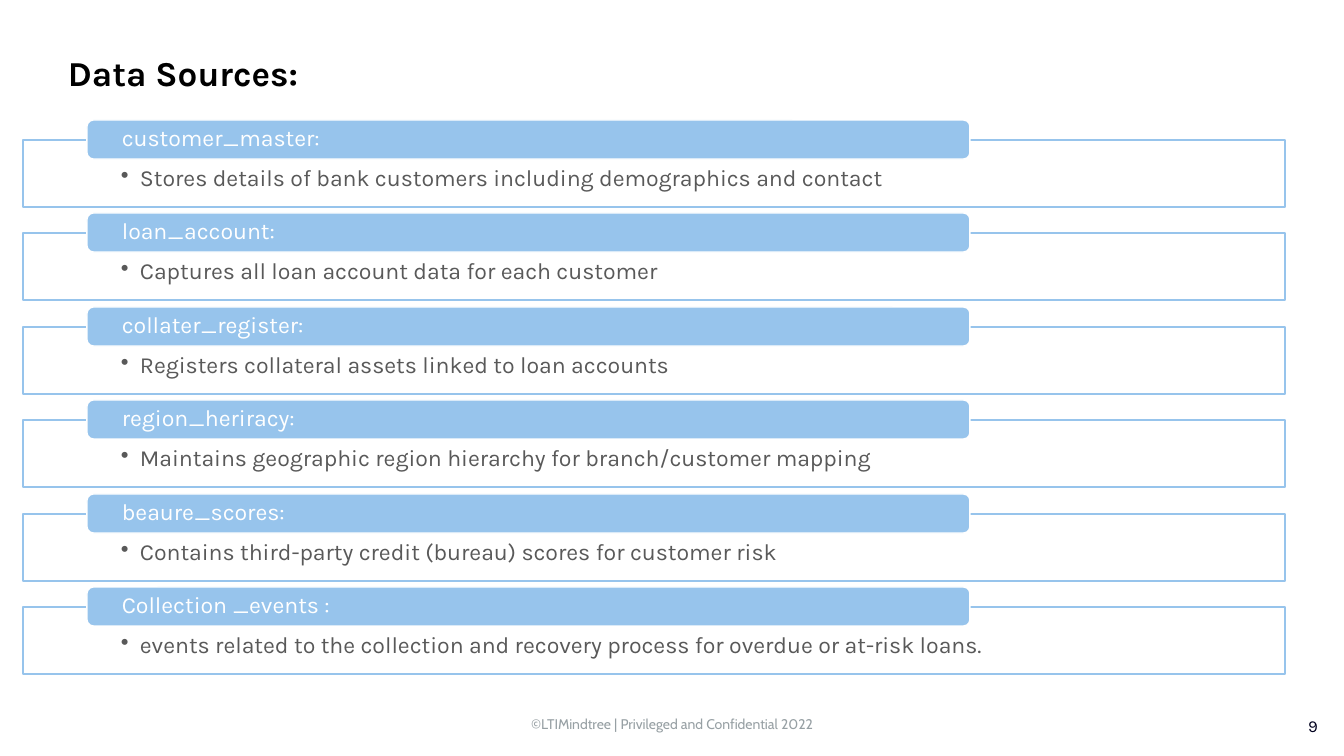
from lxml.etree import SubElement
from pptx import Presentation
from pptx.dml.color import RGBColor
from pptx.enum.shapes import MSO_SHAPE
from pptx.enum.text import MSO_ANCHOR, PP_ALIGN
from pptx.oxml.ns import qn
from pptx.util import Emu, Pt

THEME = {
    "blue": RGBColor.from_string("97C4EC"),
    "white": RGBColor.from_string("FFFFFF"),
    "black": RGBColor.from_string("000000"),
    "body": RGBColor.from_string("595959"),
    "footer": RGBColor.from_string("97A0A4"),
    "number": RGBColor.from_string("00001E"),
    "font": "Karla",
    "footer_font": "Cabin",
    "title_size": 25,
    "row_size": 16.5,
    "footer_size": 10,
    "number_size": 12,
}
SOURCES = [
    ("customer_master:", "Stores details of bank customers including demographics and contact"),
    ("loan_account:", "Captures all loan account data for each customer"),
    ("collater_register:", "Registers collateral assets linked to loan accounts"),
    ("region_heriracy:", "Maintains geographic region hierarchy for branch/customer mapping"),
    ("beaure_scores:", "Contains third-party credit (bureau) scores for customer risk"),
    ("Collection _events :", "events related to the collection and recovery process for overdue or at-risk loans."),
]
FIRST_TOP, LAST_TOP = 140, 607


def px(length):
    return Emu(round(length * 914400 / 100.8))


def write(shape, text, size, color, insets, font=THEME["font"], align=PP_ALIGN.LEFT,
          anchor=MSO_ANCHOR.TOP, spacing=0.9, bold=False):
    """Fill the shape with one run; insets are left, top, right, bottom in px."""
    frame = shape.text_frame
    frame.word_wrap = True
    frame.vertical_anchor = anchor
    frame.margin_left, frame.margin_top, frame.margin_right, frame.margin_bottom = map(px, insets)
    paragraph = frame.paragraphs[0]
    paragraph.alignment = align
    paragraph.line_spacing = spacing
    run = paragraph.add_run()
    run.text = text
    run.font.name = font
    run.font.size = Pt(THEME[size])
    run.font.bold = bold
    run.font.color.rgb = THEME[color]
    return paragraph


presentation = Presentation()
presentation.slide_width, presentation.slide_height = px(1344), px(756)
slide = presentation.slides.add_slide(presentation.slide_layouts[6])
shapes = slide.shapes

footer = shapes.add_textbox(px(336), px(709), px(672), px(27))
write(footer, "©LTIMindtree | Privileged and Confidential 2022", "footer_size", "footer",
      (10, 5, 10, 5), font=THEME["footer_font"], align=PP_ALIGN.CENTER, spacing=1.07)

page_number = shapes.add_textbox(px(1237), px(710), px(92), px(35))
write(page_number, "9", "number_size", "number", (11, 6, 11, 6), align=PP_ALIGN.RIGHT, spacing=1.0)

title = shapes.add_textbox(px(58), px(51), px(1227), px(48))
write(title, "Data Sources:", "title_size", "black", (10, 5, 10, 5), bold=True)

pitch = (LAST_TOP - FIRST_TOP) / (len(SOURCES) - 1)
for index, (name, description) in enumerate(SOURCES):
    top = round(FIRST_TOP + index * pitch)
    panel = shapes.add_shape(MSO_SHAPE.RECTANGLE, px(23), px(top), px(1262), px(67))
    header = shapes.add_shape(MSO_SHAPE.ROUNDED_RECTANGLE, px(87), px(top - 20), px(883), px(39))
    for shape, fill, line in ((panel, "white", "blue"), (header, "blue", "white")):
        shape.shadow.inherit = False
        shape.fill.solid()
        shape.fill.fore_color.rgb = THEME[fill]
        shape.line.color.rgb = THEME[line]
        shape.line.width = Pt(1)

    panel_color = panel.fill._xPr.find(qn("a:solidFill"))[0]
    SubElement(panel_color, qn("a:alpha"), val="90000")
    paragraph = write(panel, description, "row_size", "body", (98, 27, 98, 13))
    properties = paragraph._p.get_or_add_pPr()
    properties.set("marL", str(px(19)))
    properties.set("indent", str(-px(19)))
    SubElement(properties, qn("a:buChar"), char="•")

    write(header, name, "row_size", "white", (33, 0, 33, 0), anchor=MSO_ANCHOR.MIDDLE)

presentation.save("out.pptx")
